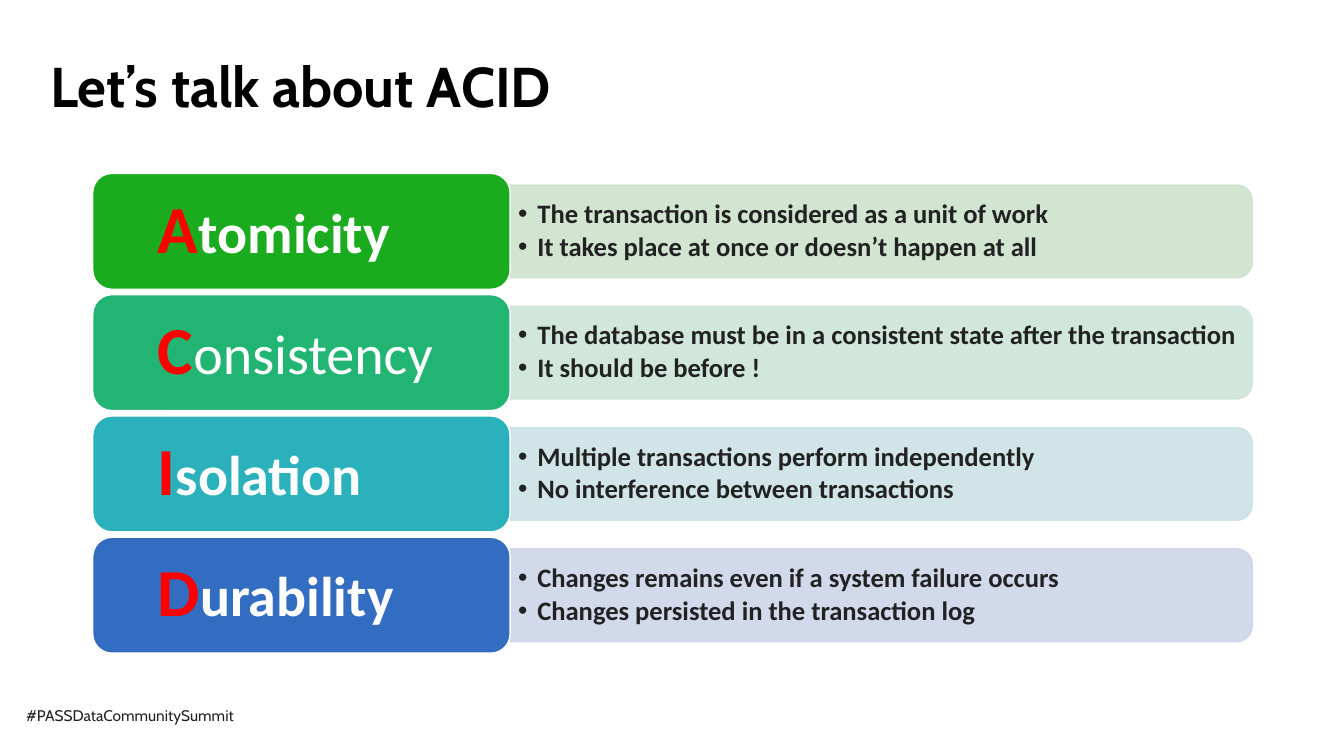
from dataclasses import dataclass

from lxml import etree
from pptx import Presentation
from pptx import util as u
from pptx.dml.color import RGBColor
from pptx.enum import shapes, text
from pptx.oxml.ns import qn


@dataclass(frozen=True)
class Theme:
    heading_font: str = "Cabin"
    body_font: str = "Calibri"
    title: str = "000000"
    body: str = "222222"
    initial: str = "FF0000"
    light: str = "FFFFFF"
    title_size: float = 40
    initial_size: float = 48
    label_size: float = 40
    bullet_size: float = 19
    hashtag_size: float = 11
    line_spacing: float = 0.9


THEME = Theme()

# initial, rest of the word, rest is bold, label colour, panel colour, bullets
PROPERTIES = [
    ("A", "tomicity", True, "1AAC1E", "CDE3CD",
     ["The transaction is considered as a unit of work",
      "It takes place at once or doesn’t happen at all"]),
    ("C", "onsistency", False, "22B472", "CDE5DB",
     ["The database must be in a consistent state after the transaction",
      "It should be before !"]),
    ("I", "solation", True, "2AB1BB", "CDE3E7",
     ["Multiple transactions perform independently",
      "No interference between transactions"]),
    ("D", "urability", True, "336DC1", "CED5E9",
     ["Changes remains even if a system failure occurs",
      "Changes persisted in the transaction log"]),
]


def add_run(paragraph, words, font, size, color, bold=False):
    run = paragraph.add_run()
    run.text = words
    run.font.name = font
    run.font.size = u.Pt(size)
    run.font.bold = bold
    run.font.color.rgb = RGBColor.from_string(color)


def set_indent(paragraph, left, first, bullet=None):
    props = paragraph._p.get_or_add_pPr()
    props.set("marL", str(u.Inches(left)))
    props.set("indent", str(u.Inches(first)))
    if bullet:
        etree.SubElement(props, qn("a:buFont")).set("typeface", "Arial")
        etree.SubElement(props, qn("a:buChar")).set("char", bullet)


def set_frame(frame, inset_x, inset_y):
    frame.word_wrap = True
    frame.vertical_anchor = text.MSO_ANCHOR.MIDDLE
    frame.margin_left = frame.margin_right = u.Inches(inset_x)
    frame.margin_top = frame.margin_bottom = u.Inches(inset_y)


def add_block(slide, preset, left, top, width, height, fill, line, opacity=None):
    block = slide.shapes.add_shape(
        preset, u.Inches(left), u.Inches(top), u.Inches(width), u.Inches(height))
    block.shadow.inherit = False
    block.fill.solid()
    block.fill.fore_color.rgb = RGBColor.from_string(fill)
    block.line.color.rgb = RGBColor.from_string(line)
    block.line.width = u.Pt(1)
    if opacity:
        for color in block._element.spPr.iter(qn("a:srgbClr")):
            etree.SubElement(color, qn("a:alpha")).set("val", str(opacity * 1000))
    return block


def add_title(slide, left, top, width, height):
    title = slide.shapes.add_textbox(
        u.Inches(left), u.Inches(top), u.Inches(width), u.Inches(height))
    title.text_frame.word_wrap = True
    paragraph = title.text_frame.paragraphs[0]
    paragraph.line_spacing = THEME.line_spacing
    add_run(paragraph, "Let’s talk about ACID", THEME.heading_font,
            THEME.title_size, THEME.title, True)


def add_hashtag(slide, left, top, width, height):
    hashtag = slide.shapes.add_textbox(
        u.Inches(left), u.Inches(top), u.Inches(width), u.Inches(height))
    hashtag.text_frame.word_wrap = False
    hashtag.text_frame.auto_size = text.MSO_AUTO_SIZE.SHAPE_TO_FIT_TEXT
    add_run(hashtag.text_frame.paragraphs[0], "#PASSDataCommunitySummit",
            THEME.heading_font, THEME.hashtag_size, THEME.body)


def add_panel(slide, left, top, width, height, color, bullets):
    # A quarter turn about the centre puts the rounded corners on the right
    add_block(slide, shapes.MSO_SHAPE.ROUND_2_SAME_RECTANGLE,
              left + (width - height) / 2, top + (height - width) / 2,
              height, width, color, color, opacity=90).rotation = 90

    details = slide.shapes.add_textbox(
        u.Inches(left), u.Inches(top + 0.04),
        u.Inches(width - 0.04), u.Inches(height - 0.08))
    frame = details.text_frame
    set_frame(frame, 0.08, 0.04)
    for index, bullet in enumerate(bullets):
        paragraph = frame.add_paragraph() if index else frame.paragraphs[0]
        set_indent(paragraph, 0.19, -0.19, "•")
        paragraph.line_spacing = THEME.line_spacing
        if index:
            paragraph.space_before = u.Pt(2.8)
        add_run(paragraph, bullet, THEME.body_font, THEME.bullet_size,
                THEME.body, True)


def add_label(slide, left, top, width, height, color, initial, rest, bold):
    label = add_block(slide, shapes.MSO_SHAPE.ROUNDED_RECTANGLE,
                      left, top, width, height, color, THEME.light)
    set_frame(label.text_frame, 0.2, 0.1)
    paragraph = label.text_frame.paragraphs[0]
    paragraph.alignment = text.PP_ALIGN.LEFT
    paragraph.line_spacing = THEME.line_spacing
    set_indent(paragraph, 0, 0.39)
    add_run(paragraph, initial, THEME.body_font, THEME.initial_size,
            THEME.initial, True)
    add_run(paragraph, rest, THEME.body_font, THEME.label_size,
            THEME.light, bold)


def add_properties(slide, left, top, width, height):
    label_width, label_height, panel_height = 4.14, 1.15, 0.92
    pitch = (height - label_height) / (len(PROPERTIES) - 1)
    for row, (initial, rest, bold, strong, pale, bullets) in enumerate(PROPERTIES):
        row_top = top + row * pitch
        add_panel(slide, left + label_width,
                  row_top + (label_height - panel_height) / 2,
                  width - label_width, panel_height, pale, bullets)
        add_label(slide, left, row_top, label_width, label_height,
                  strong, initial, rest, bold)


def main():
    deck = Presentation()
    deck.slide_width, deck.slide_height = u.Inches(13.33), u.Inches(7.5)
    slide = deck.slides.add_slide(deck.slide_layouts[6])
    add_hashtag(slide, 0.16, 6.96, 2.34, 0.29)
    add_title(slide, 0.4, 0.54, 10.3, 1.45)
    add_properties(slide, 0.92, 1.72, 11.5, 4.76)
    deck.save("out.pptx")


if __name__ == "__main__":
    main()
